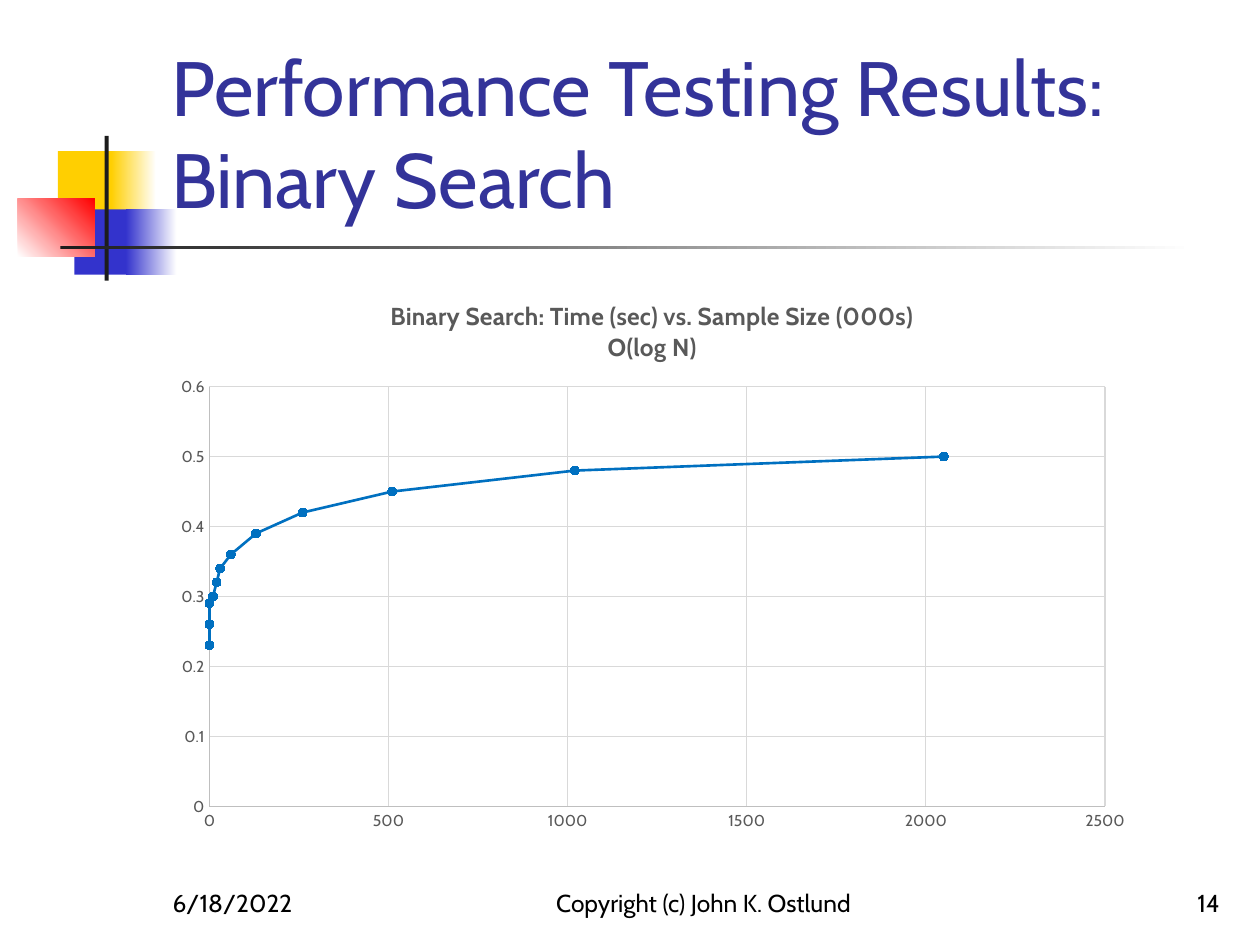
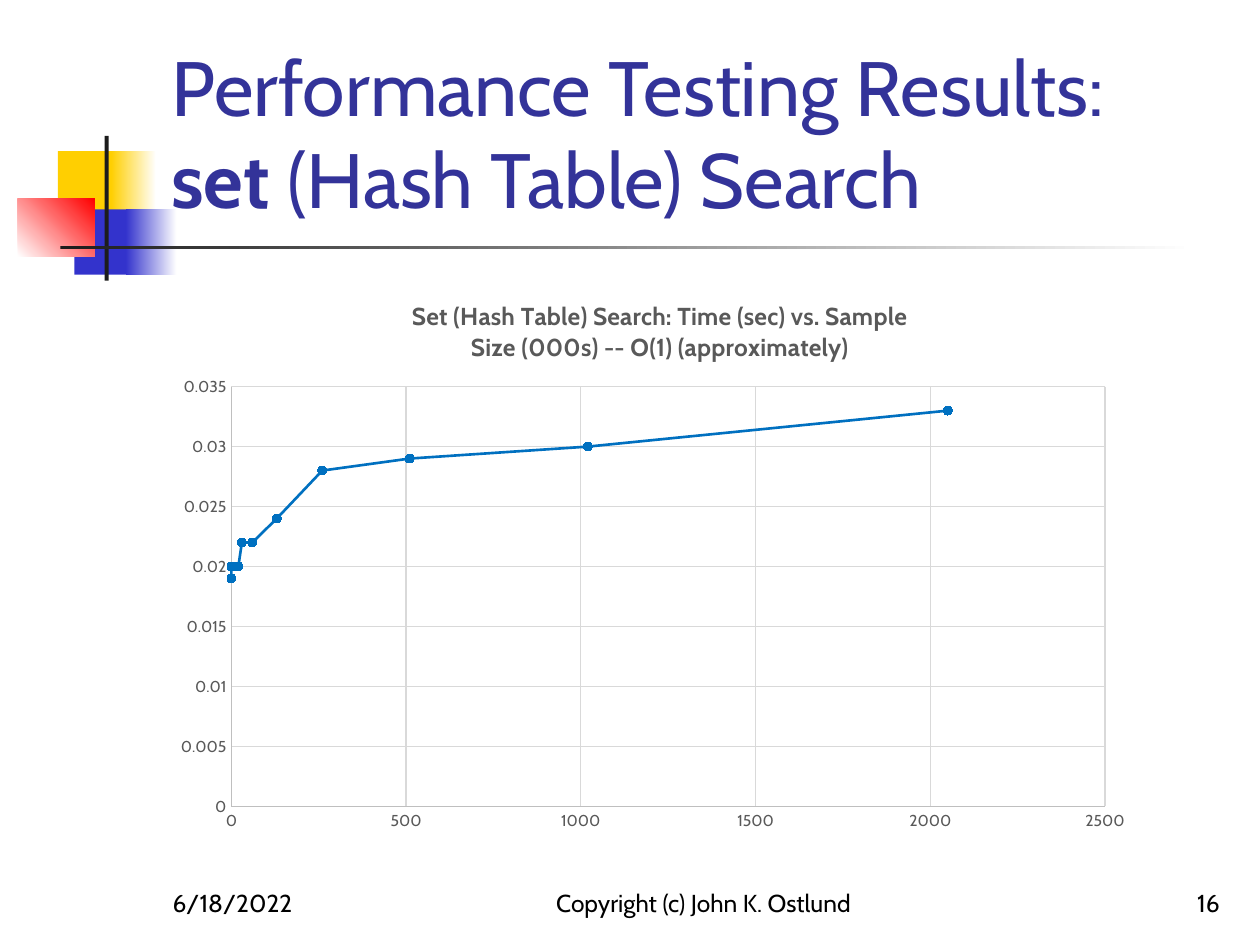
from pptx import Presentation
from pptx.chart.data import XyChartData
from pptx.dml.color import RGBColor
from pptx.enum.chart import XL_CHART_TYPE, XL_MARKER_STYLE, XL_TICK_MARK
from pptx.enum.shapes import MSO_SHAPE
from pptx.enum.text import MSO_ANCHOR, PP_ALIGN
from pptx.oxml import parse_xml
from pptx.oxml.ns import nsdecls
from pptx.util import Cm, Pt

FONT = "Cabin"
YELLOW, BLUE, RED, BLACK, WHITE = "FFCF01", "3333CC", "FF0000", "1C1C1C", "FFFFFF"
TITLE_COLOR, FOOTER_COLOR, CHART_TEXT = "333399", "000000", "595959"
AXIS_COLOR, GRID_COLOR, SERIES_COLOR = "BFBFBF", "D9D9D9", "0070C0"

DECORATION = [
    ((1.17, 3.05, 1.22, 1.32), [YELLOW], 0),
    ((2.24, 3.05, 0.91, 1.32), [YELLOW, WHITE], 0),
    ((1.5, 4.22, 1.17, 1.32), [BLUE], 0),
    ((2.54, 4.22, 1.02, 1.32), [BLUE, WHITE], 0),
    ((0.36, 4.01, 1.55, 1.17), [WHITE, RED], 45),
    ((2.11, 2.74, 0.08, 2.92), [BLACK], 0),
    ((1.22, 4.95, 22.86, 0.08), [BLACK, WHITE], 0),
]
TITLE_AREA = (3.2, 0.58, 21.64, 4.06)
FOOTER_TOP, FOOTER_HEIGHT = 17.35, 1.27
CHART_TOP, CHART_RIGHT, CHART_HEIGHT = 5.51, 23.07, 11.43
PLOT_TOP, PLOT_RIGHT, PLOT_HEIGHT = 0.2, 0.96, 0.74

DATE = "6/18/2022"
COPYRIGHT = "Copyright (c) John K. Ostlund"
TITLE_START = "Performance Testing Results:"
SAMPLE_SIZES = [0, 0, 0, 10, 20, 30, 60, 130, 260, 510, 1020, 2050]
RESULTS = [
    {
        "number": "14",
        "title": [("Binary Search", False)],
        "heading": "Binary Search: Time (sec) vs. Sample Size (000s)\nO(log N)",
        "heading_left": 0.23,
        "times": [0.23, 0.26, 0.29, 0.3, 0.32, 0.34, 0.36, 0.39, 0.42, 0.45, 0.48, 0.5],
        "scale": (0.6, 0.1),
        "chart_left": 3.23,
        "plot_left": 0.05,
    },
    {
        "number": "16",
        "title": [("set", True), (" (Hash Table) Search", False)],
        "heading": "Set (Hash Table) Search: Time (sec) vs. Sample\n"
                   "Size (000s) -- O(1) (approximately)",
        "heading_left": 0.25,
        "times": [0.019, 0.019, 0.02, 0.02, 0.02, 0.022,
                  0.022, 0.024, 0.028, 0.029, 0.03, 0.033],
        "scale": (0.035, 0.005),
        "chart_left": 3.28,
        "plot_left": 0.07,
    },
]


def color(value):
    return RGBColor.from_string(value)


def style_font(font, size, value, bold=None):
    font.name = FONT
    font.size = Pt(size)
    font.color.rgb = color(value)
    font.bold = bold


def style_line(line, value, width=0.75):
    line.color.rgb = color(value)
    line.width = Pt(width)


def add_decoration(page):
    for area, colors, angle in DECORATION:
        shape = page.shapes.add_shape(MSO_SHAPE.RECTANGLE, *map(Cm, area))
        shape.shadow.inherit = False
        shape.line.fill.background()
        if len(colors) == 1:
            shape.fill.solid()
            shape.fill.fore_color.rgb = color(colors[0])
        else:
            shape.fill.gradient()
            shape.fill.gradient_angle = angle
            for stop, value in zip(shape.fill.gradient_stops, colors):
                stop.color.rgb = color(value)


def add_text(page, area, spans, size, value, align=PP_ALIGN.LEFT):
    box = page.shapes.add_textbox(*map(Cm, area))
    frame = box.text_frame
    frame.word_wrap = True
    frame.vertical_anchor = MSO_ANCHOR.BOTTOM
    paragraph = frame.paragraphs[0]
    paragraph.alignment = align
    style_font(paragraph.font, size, value)
    for text, bold in spans:
        if text == "\n":
            paragraph.add_line_break()
            continue
        span = paragraph.add_run()
        span.text = text
        style_font(span.font, size, value, bold)


def add_footers(page, number):
    for left, width, text, align in [
        (3.23, 5.28, DATE, PP_ALIGN.LEFT),
        (10.16, 8.05, COPYRIGHT, PP_ALIGN.CENTER),
        (19.56, 5.28, number, PP_ALIGN.RIGHT),
    ]:
        area = (left, FOOTER_TOP, width, FOOTER_HEIGHT)
        add_text(page, area, [(text, False)], 14, FOOTER_COLOR, align)


def set_layout(element, index, target="", **fractions):
    for old in element.xpath("c:layout"):
        element.remove(old)
    inner = f'<c:layoutTarget val="{target}"/>' if target else ""
    values = "".join(f'<c:{key} val="{value:.2f}"/>' for key, value in fractions.items())
    element.insert(index, parse_xml(
        f'<c:layout {nsdecls("c")}><c:manualLayout>{inner}<c:xMode val="edge"/>'
        f'<c:yMode val="edge"/>{values}</c:manualLayout></c:layout>'))


def style_axis(axis, maximum, step):
    axis.minimum_scale, axis.maximum_scale, axis.major_unit = 0, maximum, step
    axis.major_tick_mark = axis.minor_tick_mark = XL_TICK_MARK.NONE
    axis.has_major_gridlines = True
    style_line(axis.major_gridlines.format.line, GRID_COLOR)
    style_line(axis.format.line, AXIS_COLOR)
    style_font(axis.tick_labels.font, 9, CHART_TEXT)
    axis.tick_labels.number_format = "General"
    axis.tick_labels.number_format_is_linked = False


def add_result_chart(page, result):
    data = XyChartData()
    points = data.add_series("Series 1")
    for size, time in zip(SAMPLE_SIZES, result["times"]):
        points.add_data_point(size, time)
    left = result["chart_left"]
    area = (left, CHART_TOP, CHART_RIGHT - left, CHART_HEIGHT)
    chart = page.shapes.add_chart(
        XL_CHART_TYPE.XY_SCATTER_LINES, *map(Cm, area), data).chart
    style_font(chart.font, 10, FOOTER_COLOR)
    chart.has_legend = False
    chart.has_title = True
    heading = chart.chart_title.text_frame
    heading.text = result["heading"]
    for paragraph in heading.paragraphs:
        style_font(paragraph.font, 14, CHART_TEXT, True)
        for span in paragraph.runs:
            style_font(span.font, 14, CHART_TEXT, True)

    style_axis(chart.category_axis, 2500, 500)
    style_axis(chart.value_axis, *result["scale"])
    plot = chart.plots[0]
    plot.vary_by_categories = False
    series = plot.series[0]
    series.smooth = False
    style_line(series.format.line, SERIES_COLOR, 1.5)
    marker = series.marker
    marker.style = XL_MARKER_STYLE.CIRCLE
    marker.size = 5
    marker.format.fill.solid()
    marker.format.fill.fore_color.rgb = color(SERIES_COLOR)
    style_line(marker.format.line, SERIES_COLOR)

    root = chart.element if hasattr(chart, "element") else chart._chartSpace
    plot_left = result["plot_left"]
    set_layout(root.xpath("c:chart/c:title")[0], 1, x=result["heading_left"], y=0.04)
    set_layout(root.xpath("c:chart/c:plotArea")[0], 0, "inner", x=plot_left,
               y=PLOT_TOP, w=PLOT_RIGHT - plot_left, h=PLOT_HEIGHT)


def main():
    deck = Presentation()
    deck.slide_width, deck.slide_height = Cm(25.4), Cm(19.05)
    for result in RESULTS:
        page = deck.slides.add_slide(deck.slide_layouts[6])
        add_decoration(page)
        title = [(TITLE_START, False), ("\n", False), *result["title"]]
        add_text(page, TITLE_AREA, title, 44, TITLE_COLOR)
        add_footers(page, result["number"])
        add_result_chart(page, result)
    deck.save("out.pptx")


if __name__ == "__main__":
    main()
